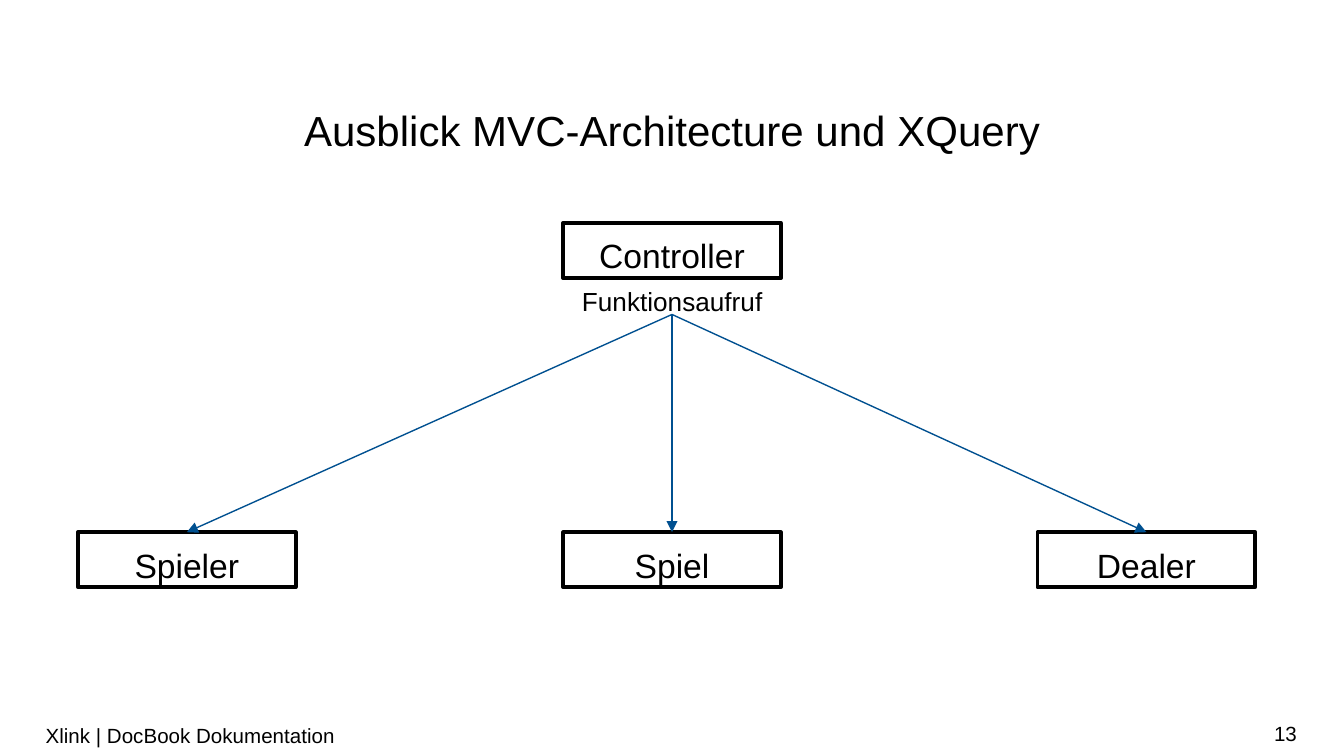
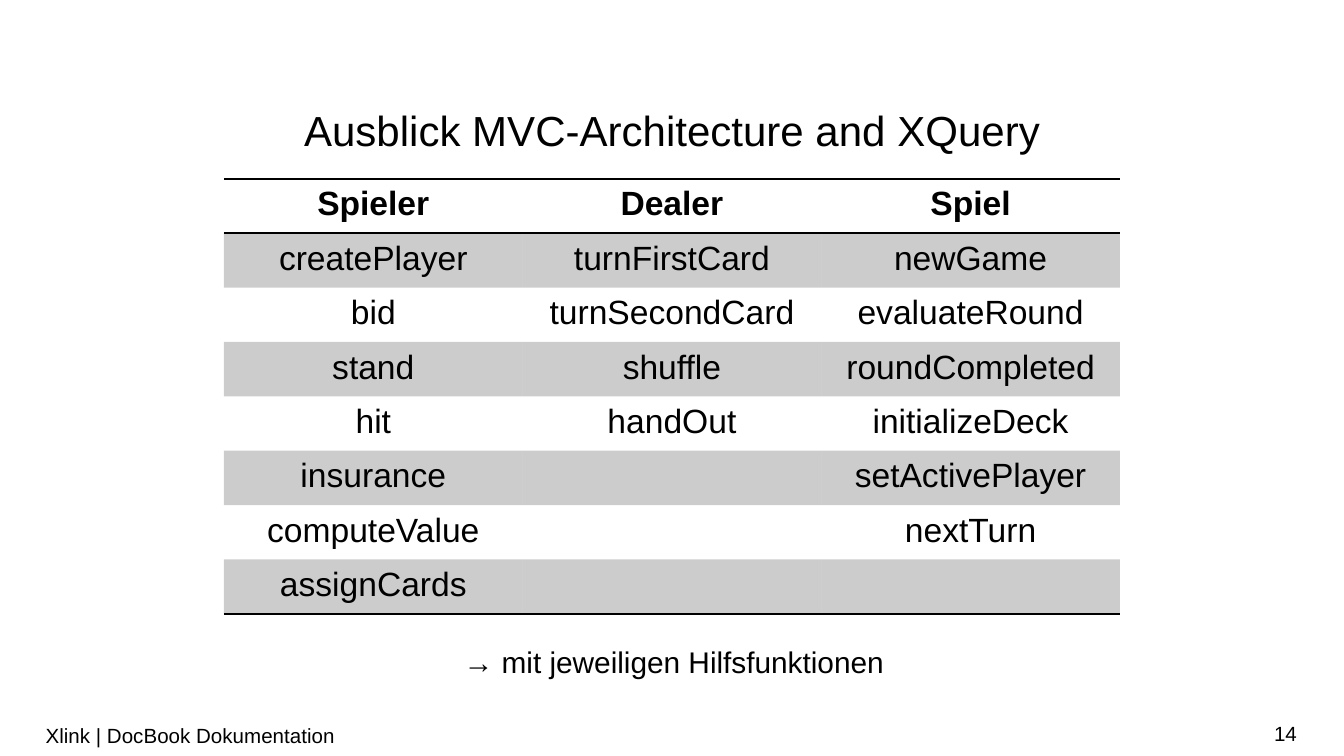
from lxml import etree
from pptx import Presentation
from pptx.dml.color import RGBColor
from pptx.enum.shapes import MSO_CONNECTOR, MSO_SHAPE
from pptx.enum.text import MSO_ANCHOR, PP_ALIGN
from pptx.oxml.ns import qn
from pptx.util import Inches, Pt

LEFT, MID, RIGHT = PP_ALIGN.LEFT, PP_ALIGN.CENTER, PP_ALIGN.RIGHT
TOP, CENTRE = MSO_ANCHOR.TOP, MSO_ANCHOR.MIDDLE
RECT, LINE = MSO_SHAPE.RECTANGLE, MSO_CONNECTOR.STRAIGHT

BLACK = RGBColor(0x00, 0x00, 0x00)
BLUE = RGBColor(0x00, 0x50, 0x90)
FONT = "Arial"
WIDE = 10
HIGH = WIDE * 9 / 16
LEAD = 1.14
PLAIN = "{2D5ABB26-0587-4C30-8999-92F81FD0307C}"

FOOTER = "Xlink |\u00a0DocBook Dokumentation"
TITLES = ["Ausblick MVC-Architecture und XQuery",
          "Ausblick MVC-Architecture and XQuery"]
FIRST = 13

ROOT = "Controller"
CALL = "Funktionsaufruf"
PARTS = [("Spieler", 0.58), ("Spiel", 4.19), ("Dealer", 7.72)]
BOX_W, BOX_H = 1.62, 0.41
ROOT_Y, PART_Y, FORK_Y = 1.66, 3.96, 2.34

METHODS = {
    "Spieler": ["createPlayer", "bid", "stand", "hit", "insurance",
                "computeValue", "assignCards"],
    "Dealer": ["turnFirstCard", "turnSecondCard", "shuffle", "handOut"],
    "Spiel": ["newGame", "evaluateRound", "roundCompleted",
              "initializeDeck", "setActivePlayer", "nextTurn"],
}
NOTE = "\u2192 mit jeweiligen Hilfsfunktionen"


def write(frame, text, size, align=LEFT, lead=None, bold=False):
    frame.text = text
    para = frame.paragraphs[0]
    para.alignment = align
    if lead:
        para.line_spacing = lead
    for run in para.runs:
        font = run.font
        font.name, font.size, font.bold = FONT, Pt(size), bold
        font.color.rgb = BLACK


def label(slide, area, text, size, align=LEFT, lead=None, pad=0,
          anchor=TOP, wrap=True):
    frame = slide.shapes.add_textbox(*map(Inches, area)).text_frame
    frame.margin_left = frame.margin_right = 0
    frame.margin_top = frame.margin_bottom = Inches(pad)
    frame.vertical_anchor = anchor
    frame.word_wrap = wrap
    write(frame, text, size, align, lead)


def start(deck, title, number):
    slide = deck.slides.add_slide(deck.slide_layouts[6])
    label(slide, (7.41, 5.31, 2.24, 0.3), str(number), 11, RIGHT,
          pad=0.05, anchor=CENTRE)
    label(slide, (0.34, 5.31, 8.56, 0.32), FOOTER, 11,
          pad=0.05, anchor=CENTRE)
    label(slide, (0.35, 0.82, 9.31, 0.34), title, 22.5, MID, Pt(24))
    return slide


def box(slide, left, top, text):
    shape = slide.shapes.add_shape(
        RECT, *map(Inches, (left, top, BOX_W, BOX_H)))
    shape.shadow.inherit = False
    shape.fill.background()
    shape.line.color.rgb = BLACK
    shape.line.width = Pt(2)
    shape.text_frame.vertical_anchor = TOP
    write(shape.text_frame, text, 18, MID, LEAD)


def arrow(slide, *ends):
    link = slide.shapes.add_connector(LINE, *map(Inches, ends))
    link.line.color.rgb = BLUE
    link.line.width = Pt(0.75)
    props = link._element.spPr
    etree.SubElement(props.find(qn("a:ln")), qn("a:tailEnd"), type="triangle")
    etree.SubElement(props, qn("a:effectLst"))


def rule(cell, side):
    edge = etree.SubElement(cell._tc.get_or_add_tcPr(), qn("a:" + side),
                            w=str(Pt(1)))
    fill = etree.SubElement(edge, qn("a:solidFill"))
    etree.SubElement(fill, qn("a:srgbClr"), val=str(BLACK))


def shade(cell, dark):
    if not dark:
        cell.fill.background()
        return
    cell.fill.solid()
    cell.fill.fore_color.rgb = BLACK
    tone = cell._tc.tcPr.find(qn("a:solidFill")).find(qn("a:srgbClr"))
    etree.SubElement(tone, qn("a:alpha"), val="20000")


def grid(slide, data):
    rows = 1 + max(map(len, data.values()))
    wide = WIDE * 2 / 3
    area = ((WIDE - wide) / 2, 1.33, wide, 3.24)
    table = slide.shapes.add_table(
        rows, len(data), *map(Inches, area)).table
    table.first_row = table.horz_banding = False
    table._tbl.tblPr.find(qn("a:tableStyleId")).text = PLAIN
    for col, (head, names) in enumerate(data.items()):
        words = [head] + names
        for row in range(rows):
            cell = table.cell(row, col)
            if row < len(words):
                write(cell.text_frame, words[row], 18, MID, bold=row == 0)
            if row == 0:
                rule(cell, "lnT")
            if row in (0, rows - 1):
                rule(cell, "lnB")
            shade(cell, row % 2)


deck = Presentation()
deck.slide_width, deck.slide_height = Inches(WIDE), Inches(HIGH)
chart, listing = [start(deck, title, FIRST + i)
                  for i, title in enumerate(TITLES)]

box(chart, (WIDE - BOX_W) / 2, ROOT_Y, ROOT)
label(chart, (4.33, 2.09, 1.35, 0.25), CALL, 14, lead=LEAD, wrap=False)
for name, left in PARTS:
    box(chart, left, PART_Y, name)
for name, left in PARTS:
    arrow(chart, WIDE / 2, FORK_Y, left + BOX_W / 2, PART_Y)

grid(listing, METHODS)
label(listing, (3.45, 4.75, 3.17, 0.28), NOTE, 16, lead=LEAD, wrap=False)

deck.save("out.pptx")
